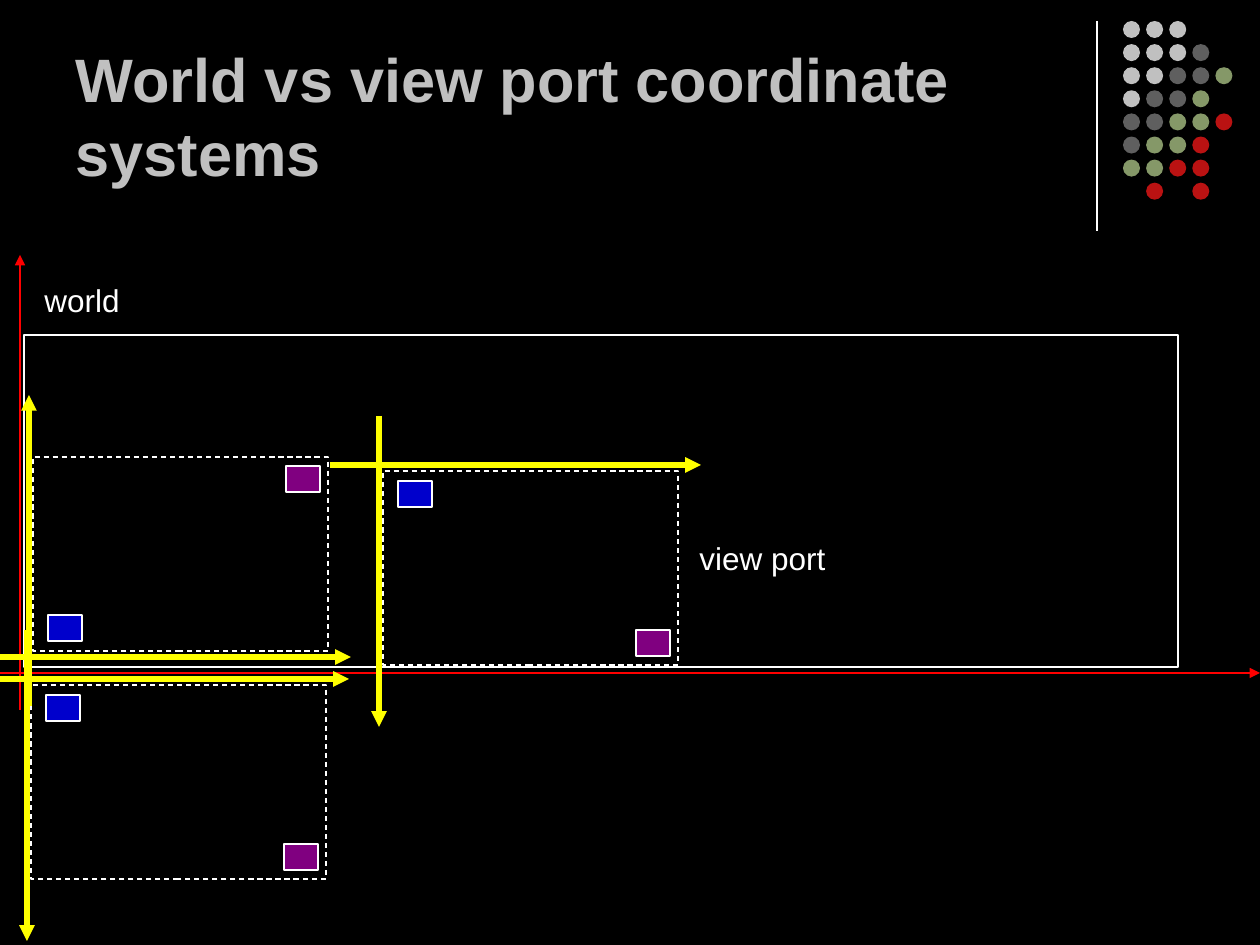
import pptx
import pptx.util
import pptx.dml.color
import pptx.enum.dml
import pptx.enum.shapes
import pptx.enum.text
import pptx.oxml.ns
from lxml import etree

# Content
TITLE = "World vs view port coordinate systems"
LABELS = [("world", 32, 275), ("view port", 687, 533)]
WORLD = (24, 335, 1154, 332)
WORLD_AXES = [((20, 710), (20, 255)), ((0, 673), (1260, 673))]
# Left and top of each view port, and whether its y axis points up
VIEW_PORTS = [(383, 471, False), (31, 685, False), (33, 457, True)]
DIVIDER = ((1097, 21), (1097, 231))
# One letter per dot: light, grey, olive, red
DOTS = ["LLL", "LLLG", "LLGGO", "LGGO", "GGOOR", "GOOR", "OORR", " R R"]

COLOURS = {
    "background": "000000", "title": "C0C0C0", "white": "FFFFFF",
    "world axis": "FF0000", "view axis": "FFFF00",
    "near": "0000CC", "far": "800080",
    "L": "C0C0C0", "G": "5F5F5F", "O": "859968", "R": "BA1212",
}
COLOURS["O"] = "859868"

# Measures in px
VIEW_W, VIEW_H = 295, 194
MARK_W, MARK_H = 34, 26
MARKS = [("near", 15, 10), ("far", 253, 159)]
DOT, DOT_PITCH, DOT_LEFT, DOT_TOP = 17, 23.1, 1123, 21
EMU_PER_PX = 914400 / 126
SHAPES = pptx.enum.shapes.MSO_SHAPE


def px(length):
    return pptx.util.Emu(round(length * EMU_PER_PX))


def rgb(name):
    return pptx.dml.color.RGBColor.from_string(COLOURS[name])


def add_shape(kind, left, top, width, height, fill=None, line=None, dashed=False):
    shape = slide.shapes.add_shape(kind, px(left), px(top), px(width), px(height))
    shape.shadow.inherit = False
    if fill:
        shape.fill.solid()
        shape.fill.fore_color.rgb = rgb(fill)
    else:
        shape.fill.background()
    if line:
        shape.line.color.rgb = rgb(line)
        shape.line.width = pptx.util.Pt(0.75)
    else:
        shape.line.fill.background()
    if dashed:
        shape.line.dash_style = pptx.enum.dml.MSO_LINE.DASH


def add_line(start, end, colour, width=0.75, arrow=True):
    connector = slide.shapes.add_connector(
        pptx.enum.shapes.MSO_CONNECTOR.STRAIGHT, *map(px, start + end))
    connector.line.color.rgb = rgb(colour)
    connector.line.width = pptx.util.Pt(width)
    qn = pptx.oxml.ns.qn
    if arrow:
        etree.SubElement(connector.line._get_or_add_ln(), qn("a:tailEnd"), type="triangle")
    etree.SubElement(connector._element.spPr, qn("a:effectLst"))


def add_view_port(left, top, upward):
    def y(offset, height=0):
        return top + VIEW_H - offset - height if upward else top + offset

    add_line((left - 53, y(-6)), (left + 318, y(-6)), "view axis", 3)
    add_shape(SHAPES.RECTANGLE, left, top, VIEW_W, VIEW_H, line="white", dashed=True)
    add_line((left - 4, y(-55)), (left - 4, y(256)), "view axis", 3)
    for mark, dx, dy in MARKS:
        add_shape(SHAPES.RECTANGLE, left + dx, y(dy, MARK_H), MARK_W, MARK_H, mark, "white")


def set_font(paragraph, size, colour, bold=False):
    paragraph.alignment = pptx.enum.text.PP_ALIGN.LEFT
    paragraph.font.name = "Arial"
    paragraph.font.size = pptx.util.Pt(size)
    paragraph.font.bold = bold
    paragraph.font.color.rgb = rgb(colour)


presentation = pptx.Presentation()
presentation.slide_width, presentation.slide_height = px(1260), px(945)
slide = presentation.slides.add_slide(presentation.slide_layouts[5])
slide.background.fill.solid()
slide.background.fill.fore_color.rgb = rgb("background")

# Corner decoration
add_line(*DIVIDER, "white", arrow=False)
for row, dots in enumerate(DOTS):
    for column, dot in enumerate(dots):
        if dot != " ":
            add_shape(SHAPES.OVAL, DOT_LEFT + column * DOT_PITCH,
                      DOT_TOP + row * DOT_PITCH, DOT, DOT, dot)

# Title
title = slide.shapes.title
title.left, title.top, title.width, title.height = map(px, (63, 16, 1040, 179))
title.text_frame.text = TITLE
title.text_frame.word_wrap = True
title.text_frame.auto_size = pptx.enum.text.MSO_AUTO_SIZE.NONE
title.text_frame.vertical_anchor = pptx.enum.text.MSO_ANCHOR.BOTTOM
set_font(title.text_frame.paragraphs[0], 35, "title", bold=True)

# World and its axes
add_shape(SHAPES.RECTANGLE, *WORLD, line="white")
for start, end in WORLD_AXES:
    add_line(start, end, "world axis")

# Labels
for text, left, top in LABELS:
    label = slide.shapes.add_textbox(px(left), px(top), px(219), px(50))
    label.text_frame.word_wrap = True
    label.text_frame.text = text
    set_font(label.text_frame.paragraphs[0], 18, "white")

# View ports
for view_port in VIEW_PORTS:
    add_view_port(*view_port)

presentation.save("out.pptx")
